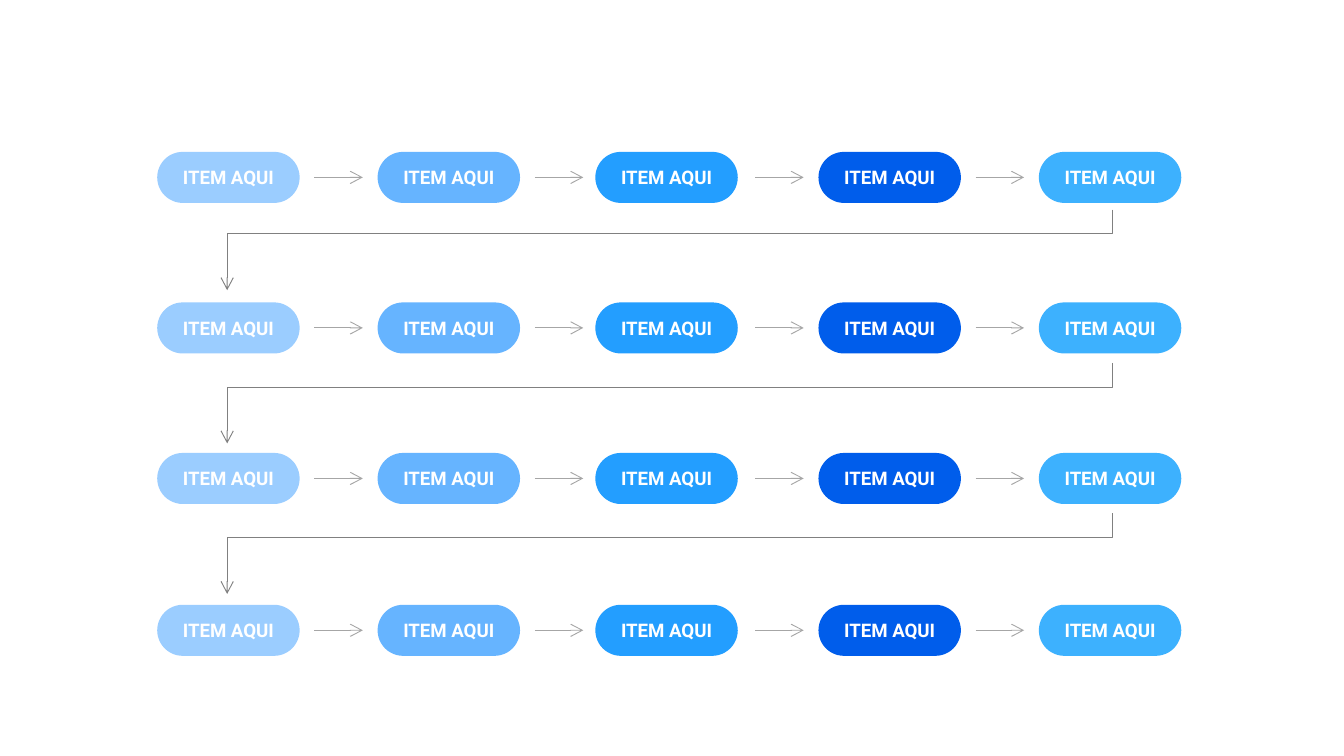
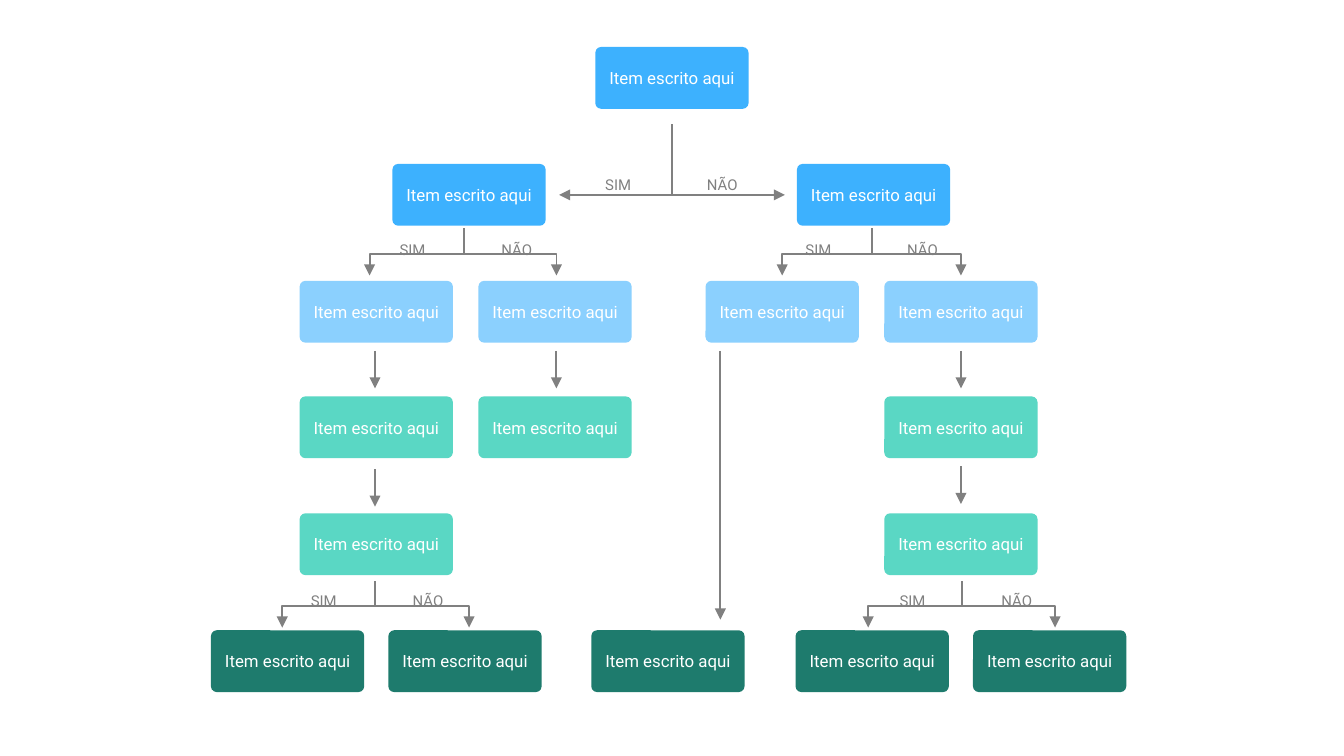
"""Build two flowchart slides: a serpentine process and a decision tree."""
from dataclasses import dataclass

import lxml.etree
import pptx
import pptx.dml.color
import pptx.enum.shapes
import pptx.enum.text
import pptx.oxml.ns
import pptx.util
from pptx.util import Inches


@dataclass(frozen=True)
class Theme:
    """Colours, type sizes and line widths shared by the slides."""
    font: str = "Roboto"
    white: str = "FFFFFF"
    grey: str = "808080"
    light_grey: str = "A6A6A6"
    sky: str = "3DB1FE"
    pale_sky: str = "8BD0FE"
    mint: str = "5AD7C4"
    pine: str = "1E7B6D"
    steps: tuple = ("9BCDFF", "66B4FF", "239EFF", "005DEB", "3DB1FE")
    step_size: float = 10
    node_size: float = 9
    label_size: float = 8
    thin: float = 0.5
    thick: float = 1


THEME = Theme()

STEP_LEFTS = (1.17, 2.81, 4.43, 6.09, 7.73)
STEP_TOPS = (1.13, 2.25, 3.37, 4.5)
STEP_W, STEP_H = 1.06, 0.38
STEP_ARROW_LEFT, STEP_ARROW_PITCH, STEP_ARROW_W = 2.34, 1.64, 0.36
RETURN_TOPS = (1.56, 2.7, 3.82)

NODE_W, NODE_H = 1.14, 0.46
NODE_LEVELS = (
    (0.35, THEME.sky, (4.43,)),
    (1.22, THEME.sky, (2.92, 5.93)),
    (2.09, THEME.pale_sky, (2.23, 3.56, 5.25, 6.58)),
    (2.95, THEME.mint, (2.23, 3.56, 6.58)),
    (3.82, THEME.mint, (2.23, 6.58)),
    (4.69, THEME.pine, (1.57, 2.89, 4.4, 5.92, 7.24)),
)
DOWN_ARROWS = (
    (2.79, 2.61, 2.89), (4.14, 2.61, 2.89), (7.15, 2.61, 2.89),
    (2.79, 3.49, 3.77), (7.15, 3.47, 3.75), (5.36, 2.61, 4.61),
)


@dataclass(frozen=True)
class Fork:
    """A stem that splits into a yes branch and a no branch."""
    stem: float
    top: float
    bar: float
    left: float
    right: float
    label_left: float
    label_top: float
    drop: float = 0.16


FORKS = (
    Fork(5, 0.92, 1.45, 4.16, 5.84, 4.4, 1.26, drop=0),
    Fork(3.45, 1.7, 1.89, 2.75, 4.14, 2.87, 1.74),
    Fork(6.49, 1.7, 1.89, 5.82, 7.15, 5.89, 1.74),
    Fork(2.79, 4.32, 4.51, 2.1, 3.49, 2.21, 4.35),
    Fork(7.16, 4.32, 4.51, 6.46, 7.85, 6.59, 4.35),
)


def rgb(colour):
    """Turn a hex string into a colour."""
    return pptx.dml.color.RGBColor.from_string(colour)


def write(tf, text, size, colour, bold=None):
    """Put one centred run in a text frame."""
    p = tf.paragraphs[0]
    p.alignment = pptx.enum.text.PP_ALIGN.CENTER
    r = p.add_run()
    r.text = text
    r.font.name = THEME.font
    r.font.size = pptx.util.Pt(size)
    r.font.bold = bold
    r.font.color.rgb = rgb(colour)


def add_box(slide, box, radius, fill, text, size, bold=None):
    """Add a filled rounded box with centred text."""
    sp = slide.shapes.add_shape(
        pptx.enum.shapes.MSO_SHAPE.ROUNDED_RECTANGLE, *map(Inches, box))
    sp.adjustments[0] = radius
    sp.shadow.inherit = False
    sp.fill.solid()
    sp.fill.fore_color.rgb = rgb(fill)
    sp.line.fill.background()
    tf = sp.text_frame
    tf.margin_left = tf.margin_right = tf.margin_top = tf.margin_bottom = 0
    tf.vertical_anchor = pptx.enum.text.MSO_ANCHOR.MIDDLE
    write(tf, text, size, THEME.white, bold)


def add_label(slide, left, top, width, text):
    """Add a small grey branch label."""
    sp = slide.shapes.add_textbox(*map(Inches, (left, top, width, 0.24)))
    tf = sp.text_frame
    tf.word_wrap = False
    tf.auto_size = pptx.enum.text.MSO_AUTO_SIZE.SHAPE_TO_FIT_TEXT
    write(tf, text, THEME.label_size, THEME.grey)


def style_line(sp, colour, width, head=None, tail=None):
    """Set stroke and arrowheads, and remove the shadow."""
    sp.line.color.rgb = rgb(colour)
    sp.line.width = pptx.util.Pt(width)
    qn = pptx.oxml.ns.qn
    sp_pr = sp._element.spPr
    ln = sp_pr.find(qn("a:ln"))
    for tag, kind in (("a:headEnd", head), ("a:tailEnd", tail)):
        if kind:
            lxml.etree.SubElement(ln, qn(tag), type=kind)
    lxml.etree.SubElement(sp_pr, qn("a:effectLst"))


def add_line(shapes, start, end, colour, width, head=None, tail=None):
    """Add a straight connector."""
    sp = shapes.add_connector(
        pptx.enum.shapes.MSO_CONNECTOR.STRAIGHT, *map(Inches, (*start, *end)))
    style_line(sp, colour, width, head, tail)


def add_polyline(shapes, points, colour, width, head=None, tail=None):
    """Add an open, unfilled line through the points."""
    first, *rest = [(Inches(x), Inches(y)) for x, y in points]
    builder = shapes.build_freeform(*first)
    builder.add_line_segments(rest, close=False)
    sp = builder.convert_to_shape()
    sp.fill.background()
    style_line(sp, colour, width, head, tail)


def add_fork(slide, fork):
    """Add a branching line with its two labels."""
    shapes = slide.shapes.add_group_shape().shapes
    stroke = (THEME.grey, THEME.thick)
    ends = ("triangle", "triangle")
    corners = [(fork.left, fork.bar), (fork.right, fork.bar)]
    if fork.drop:
        tip = fork.bar + fork.drop
        points = [(fork.left, tip), *corners, (fork.right, tip)]
        add_polyline(shapes, points, *stroke, *ends)
    else:
        add_line(shapes, *corners, *stroke, *ends)
    add_line(shapes, (fork.stem, fork.bar), (fork.stem, fork.top), *stroke)
    add_label(slide, fork.label_left, fork.label_top, 0.4, "SIM")
    add_label(slide, fork.label_left + 0.76, fork.label_top, 0.43, "NÃO")


def build_process(slide):
    """Draw rows of steps joined by arrows and return lines."""
    for top in STEP_TOPS:
        for left, colour in zip(STEP_LEFTS, THEME.steps):
            add_box(slide, (left, top, STEP_W, STEP_H), 0.5, colour,
                    "ITEM AQUI", THEME.step_size, True)
        middle = top + STEP_H / 2
        for i in range(len(STEP_LEFTS) - 1):
            x = STEP_ARROW_LEFT + i * STEP_ARROW_PITCH
            add_line(slide.shapes, (x, middle), (x + STEP_ARROW_W, middle),
                     THEME.light_grey, THEME.thin, tail="arrow")
    for top in RETURN_TOPS:
        bend = top + 0.18
        points = [(8.28, top), (8.28, bend), (1.69, bend), (1.69, top + 0.6)]
        add_polyline(slide.shapes, points, THEME.grey, THEME.thin, tail="arrow")


def build_decision_tree(slide):
    """Draw the levels of nodes, the forks and the downward arrows."""
    for top, colour, lefts in NODE_LEVELS:
        for left in lefts:
            add_box(slide, (left, top, NODE_W, NODE_H), 0.093, colour,
                    "Item escrito aqui", THEME.node_size)
    for x, top, bottom in DOWN_ARROWS:
        add_line(slide.shapes, (x, top), (x, bottom),
                 THEME.grey, THEME.thick, tail="triangle")
    for fork in FORKS:
        add_fork(slide, fork)


def main():
    """Build and save the presentation."""
    prs = pptx.Presentation()
    prs.slide_width = Inches(10)
    prs.slide_height = Inches(10 * 9 / 16)
    blank = prs.slide_layouts[6]
    for build in (build_process, build_decision_tree):
        build(prs.slides.add_slide(blank))
    prs.save("out.pptx")


if __name__ == "__main__":
    main()
